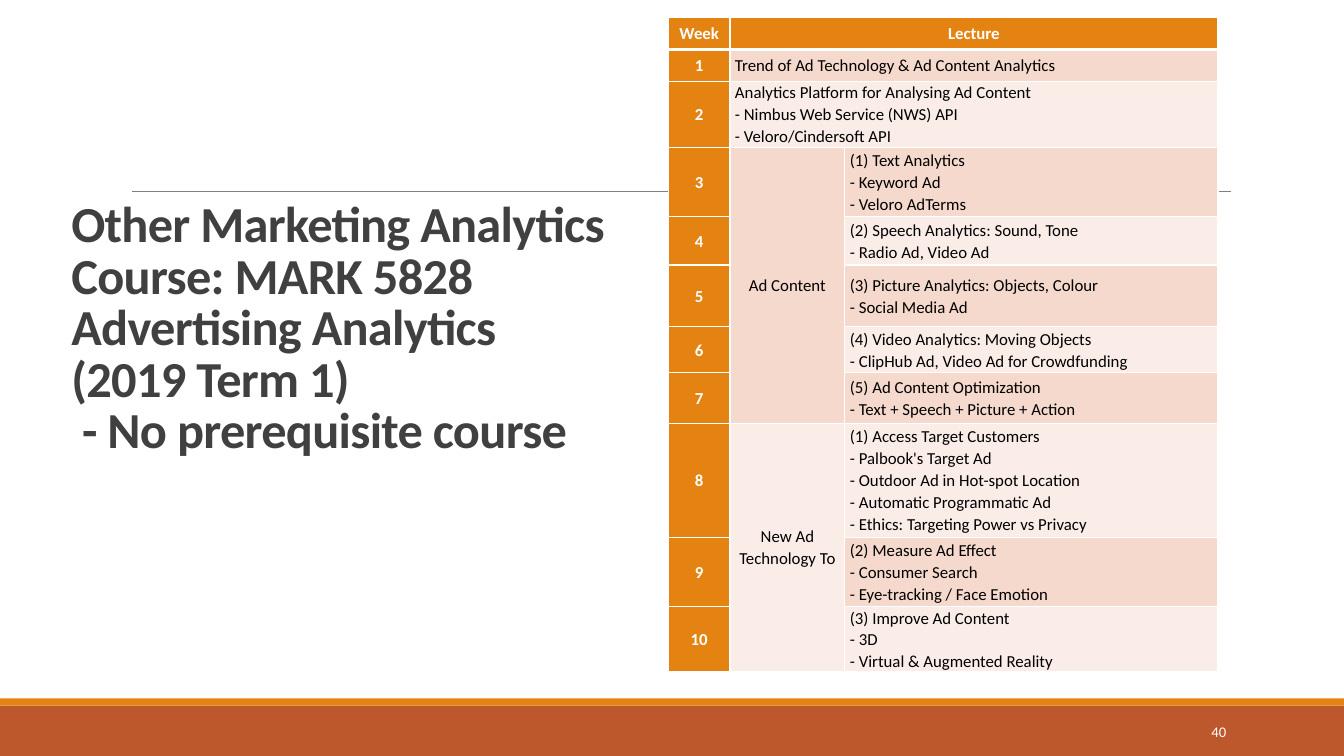
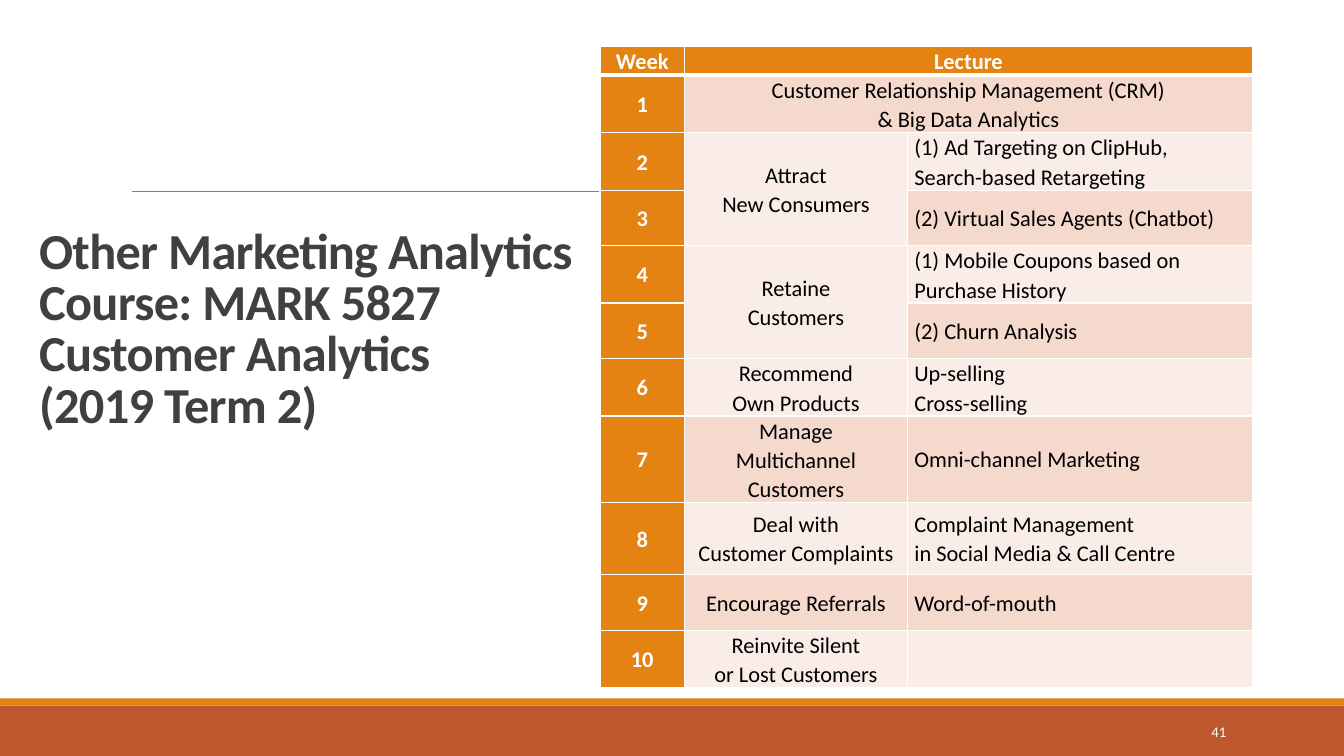
import lxml.etree
import pptx
import pptx.dml.color
import pptx.enum.shapes
import pptx.enum.text
import pptx.oxml.ns
import pptx.util

Inches = pptx.util.Inches
Pt = pptx.util.Pt
RGBColor = pptx.dml.color.RGBColor
Align = pptx.enum.text.PP_ALIGN
Anchor = pptx.enum.text.MSO_ANCHOR
qn = pptx.oxml.ns.qn

WHITE = RGBColor(0xFF, 0xFF, 0xFF)
BLACK = RGBColor(0x00, 0x00, 0x00)
RUST = RGBColor(0xBD, 0x58, 0x2C)
ORANGE = RGBColor(0xE4, 0x83, 0x12)
PEACH = RGBColor(0xF5, 0xD9, 0xCC)
PALE_PEACH = RGBColor(0xFA, 0xED, 0xE7)
CHARCOAL = RGBColor(0x40, 0x40, 0x40)
GREY = RGBColor(0x80, 0x80, 0x80)
FONT = "Calibri"

ADVERTISING_WEEKS = [
    (0.32, "Trend of Ad Technology & Ad Content Analytics", None),
    (0.65, "Analytics Platform for Analysing Ad Content\n"
           "- Nimbus Web Service (NWS) API\n- Veloro/Cindersoft API", None),
    (0.69, "Ad Content", "(1) Text Analytics\n- Keyword Ad\n- Veloro AdTerms"),
    (0.48, None, "(2) Speech Analytics: Sound, Tone\n- Radio Ad, Video Ad"),
    (0.61, None, "(3) Picture Analytics: Objects, Colour\n- Social Media Ad"),
    (0.46, None, "(4) Video Analytics: Moving Objects\n"
                 "- ClipHub Ad, Video Ad for Crowdfunding"),
    (0.5, None, "(5) Ad Content Optimization\n- Text + Speech + Picture + Action"),
    (1.13, "New Ad Technology To",
     "(1) Access Target Customers\n- Palbook's Target Ad\n"
     "- Outdoor Ad in Hot-spot Location\n- Automatic Programmatic Ad\n"
     "- Ethics: Targeting Power vs Privacy"),
    (0.69, None, "(2) Measure Ad Effect\n- Consumer Search\n"
                 "- Eye-tracking / Face Emotion"),
    (0.62, None, "(3) Improve Ad Content\n- 3D\n- Virtual & Augmented Reality"),
]

CUSTOMER_WEEKS = [
    (0.55, "Customer Relationship Management (CRM)\n& Big Data Analytics", None),
    (0.55, "Attract\nNew Consumers",
     "(1) Ad Targeting on ClipHub,\nSearch-based Retargeting"),
    (0.55, None, "(2) Virtual Sales Agents (Chatbot)"),
    (0.55, "Retaine\nCustomers", "(1) Mobile Coupons based on Purchase History"),
    (0.55, None, "(2) Churn Analysis"),
    (0.55, "Recommend\nOwn Products", "Up-selling\nCross-selling"),
    (0.83, "Manage\nMultichannel\nCustomers", "Omni-channel Marketing"),
    (0.72, "Deal with\nCustomer Complaints",
     "Complaint Management\nin Social Media & Call Centre"),
    (0.55, "Encourage Referrals", "Word-of-mouth"),
    (0.55, "Reinvite Silent\nor Lost Customers", ""),
]


class CourseDeck:
    """Holds the deck style and the slide being built."""

    def __init__(self):
        self.deck = pptx.Presentation()
        self.deck.slide_width = Inches(13.33)
        self.deck.slide_height = Inches(7.5)
        self.slide = None

    def start_slide(self, title, left, top, number):
        self.slide = self.deck.slides.add_slide(self.deck.slide_layouts[6])
        self.band(7, 0.5, RUST)
        self.band(6.93, 0.07, ORANGE)
        self.rule()
        self.title(title, left, top)
        self.page_number(number)

    def band(self, top, height, color):
        band = self.slide.shapes.add_shape(
            pptx.enum.shapes.MSO_SHAPE.RECTANGLE,
            0, Inches(top), self.deck.slide_width, Inches(height))
        band.shadow.inherit = False
        band.fill.solid()
        band.fill.fore_color.rgb = color
        band.line.fill.background()

    def rule(self):
        rule = self.slide.shapes.add_connector(
            pptx.enum.shapes.MSO_CONNECTOR.STRAIGHT,
            Inches(1.31), Inches(1.9), Inches(12.21), Inches(1.9))
        rule.line.color.rgb = GREY
        rule.line.width = Pt(0.5)
        lxml.etree.SubElement(rule._element.spPr, qn("a:effectLst"))

    def set_text(self, frame, text, size, color, bold=False, align=Align.LEFT, spacing=1.0):
        paragraph = frame.paragraphs[0]
        paragraph.text = text
        paragraph.alignment = align
        paragraph.line_spacing = spacing
        for run in paragraph.runs:
            run.font.name = FONT
            run.font.size = Pt(size)
            run.font.bold = bold
            run.font.color.rgb = color
        return paragraph

    def text_box(self, left, top, width, height, anchor):
        frame = self.slide.shapes.add_textbox(
            Inches(left), Inches(top), Inches(width), Inches(height)).text_frame
        frame.word_wrap = True
        frame.vertical_anchor = anchor
        return frame

    def title(self, text, left, top):
        frame = self.text_box(left, top, 5.5, 3.45, Anchor.BOTTOM)
        heading = self.set_text(frame, text, 36, CHARCOAL, bold=True, spacing=0.85)
        for run in heading.runs:
            run._r.get_or_add_rPr().set("spc", "-50")

    def page_number(self, number):
        frame = self.text_box(10.83, 7.06, 1.43, 0.4, Anchor.MIDDLE)
        self.set_text(frame, str(number), 10.5, WHITE, align=Align.RIGHT)

    def borders(self, cell, row):
        properties = cell._tc.get_or_add_tcPr()
        widths = {"L": 1, "R": 1, "T": 3 if row == 1 else 1, "B": 3 if row == 0 else 1}
        for side, width in widths.items():
            edge = lxml.etree.SubElement(properties, qn(f"a:ln{side}"), w=str(Pt(width)))
            fill = lxml.etree.SubElement(edge, qn("a:solidFill"))
            lxml.etree.SubElement(fill, qn("a:srgbClr"), val=str(WHITE))

    def schedule(self, left, top, columns, header_height, weeks, size, margin, wide_align):
        heights = [header_height] + [week[0] for week in weeks]
        table = self.slide.shapes.add_table(
            len(heights), len(columns), Inches(left), Inches(top),
            Inches(sum(columns)), Inches(sum(heights))).table
        for column, width in zip(table.columns, columns):
            column.width = Inches(width)

        entries = [("Week", "Lecture", None)]
        entries += [(str(n), topic, detail) for n, (_, topic, detail) in enumerate(weeks, 1)]
        topic_row = 0
        for row, entry in enumerate(entries):
            table.rows[row].height = Inches(heights[row])
            stripe = PEACH if row % 2 else PALE_PEACH
            wide = entry[2] is None
            aligns = (Align.CENTER, wide_align if wide and row else Align.CENTER, Align.LEFT)
            for col, text in enumerate(entry):
                cell = table.cell(row, col)
                cell.vertical_anchor = Anchor.MIDDLE
                cell.margin_left = cell.margin_right = Inches(margin)
                cell.margin_top = cell.margin_bottom = 0
                heading = row == 0 or col == 0
                self.borders(cell, row)
                cell.fill.solid()
                cell.fill.fore_color.rgb = ORANGE if heading else stripe
                self.set_text(cell.text_frame, text or "", size, WHITE if heading else BLACK,
                              heading, aligns[col], 1.07)
            if wide:
                table.cell(row, 1).merge(table.cell(row, 2))
            if entry[1] is not None:
                topic_row = row
            elif row + 1 == len(entries) or entries[row + 1][1] is not None:
                table.cell(topic_row, 1).merge(table.cell(row, 1))


def main():
    course = CourseDeck()
    course.start_slide(
        "Other Marketing Analytics Course: MARK 5828 Advertising Analytics\n"
        "(2019 Term 1)\n - No prerequisite course", 0.61, 1.15, 40)
    course.schedule(6.63, 0.17, (0.61, 1.14, 3.7), 0.32, ADVERTISING_WEEKS,
                    12, 0.05, Align.LEFT)
    course.start_slide(
        "Other Marketing Analytics Course: MARK 5827 Customer Analytics\n"
        "(2019 Term 2)", 0.29, 0.9, 41)
    course.schedule(5.95, 0.46, (0.84, 2.21, 3.42), 0.27, CUSTOMER_WEEKS,
                    16, 0.07, Align.CENTER)
    course.deck.save("out.pptx")


if __name__ == "__main__":
    main()
